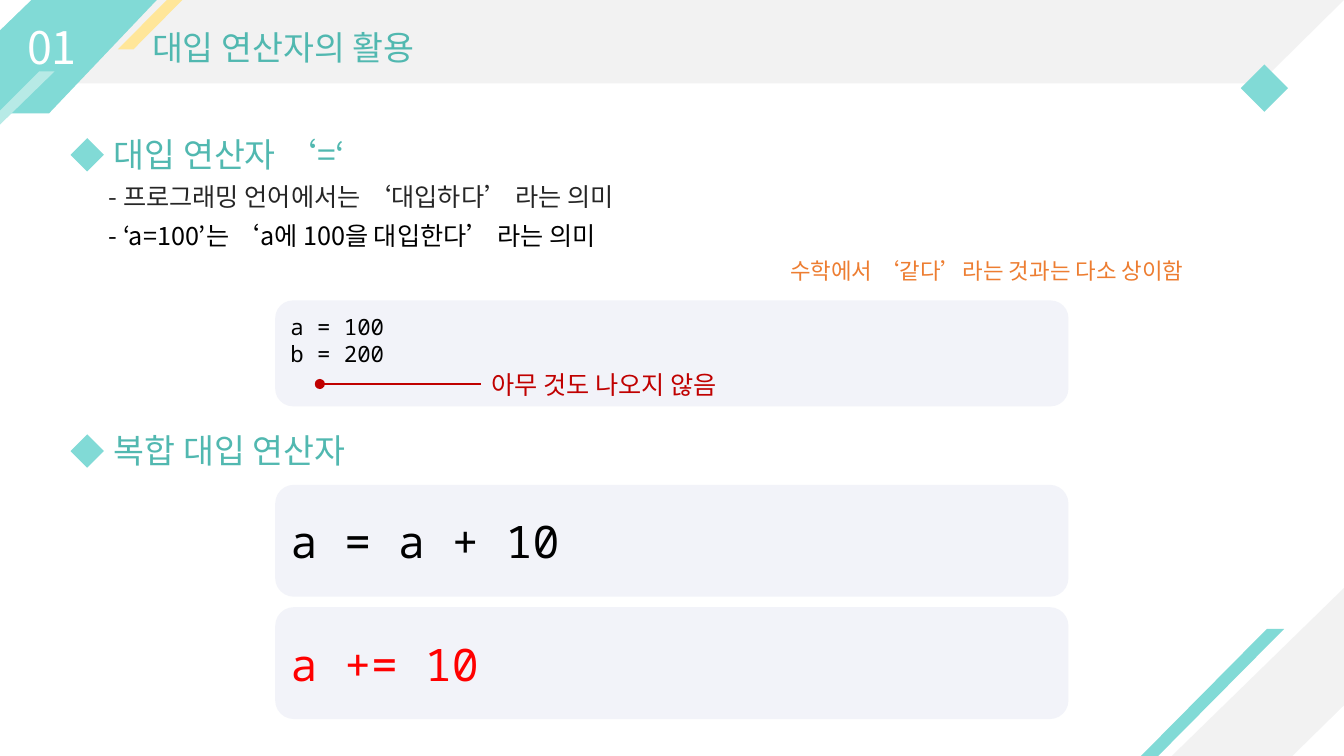
from pptx import Presentation
from pptx import util as u
from pptx.dml.color import RGBColor
from pptx.enum import shapes, text
from pptx.oxml import ns, xmlchemy

SANS, MONO = "Noto Sans CJK KR", "Noto Sans Mono"
TEAL = RGBColor(0x81, 0xDA, 0xD6)
PALE = RGBColor(0xB7, 0xEA, 0xE6)
DEEP = RGBColor(0x51, 0xB8, 0xB0)
GRAY = RGBColor(0xF2, 0xF2, 0xF2)
SAND = RGBColor(0xFF, 0xE6, 0x99)
LILAC = RGBColor(0xF2, 0xF3, 0xF9)
WHITE = RGBColor(255, 255, 255)
BLACK = RGBColor(0, 0, 0)
INK = RGBColor(0x26, 0x26, 0x26)
AMBER = RGBColor(0xED, 0x7D, 0x31)
WINE = RGBColor(0xC0, 0, 0)
RED = RGBColor(255, 0, 0)
KIND = shapes.MSO_SHAPE
ALIGN = text.PP_ALIGN


def paint(shape, color):
    """Give a shape a plain fill without line or shadow."""
    shape.shadow.inherit = False
    shape.fill.solid()
    shape.fill.fore_color.rgb = color
    shape.line.fill.background()


def form(slide, kind, box, color, flip=None, adj=None):
    """Draw a preset shape, mirrored or adjusted if asked."""
    shape = slide.shapes.add_shape(kind, *map(u.Pt, box))
    paint(shape, color)
    if flip:
        shape._element.spPr.xfrm.set(flip, "1")
    if adj:
        shape.adjustments[0] = adj
    return shape


def outline(slide, points, color):
    """Draw a closed outline through points."""
    pen = slide.shapes.build_freeform(*points[0], scale=u.Pt(1))
    pen.add_line_segments(points[1:], close=True)
    paint(pen.convert_to_shape(), color)


def write(frame, lines, size, color, font=SANS, align=ALIGN.LEFT):
    """Fill a text frame with lines in one style."""
    frame.word_wrap = True
    frame.text = "\n".join(lines)
    for para in frame.paragraphs:
        para.alignment = align
        para.font.size = u.Pt(size)
        para.font.name = font
        para.font.color.rgb = color
        east = xmlchemy.OxmlElement("a:ea")
        east.set("typeface", font)
        para._p.pPr.find(ns.qn("a:defRPr")).append(east)


def label(slide, box, line, size, color, align=ALIGN.LEFT):
    """Place a line of text in a box that grows."""
    area = slide.shapes.add_textbox(*map(u.Pt, box))
    write(area.text_frame, [line], size, color, align=align)
    area.text_frame.auto_size = text.MSO_AUTO_SIZE.SHAPE_TO_FIT_TEXT


def corner(slide, box):
    """Draw the slanted bands in the lower right corner."""
    x, y, w, h = box
    right, base = x + w, y + h
    form(slide, KIND.RIGHT_TRIANGLE, (right - 123, base - 120, 123, 120), GRAY, "flipH")
    form(slide, KIND.RIGHT_TRIANGLE, (right - 36.7, base - 36, 36.7, 36), WHITE, "flipH")
    form(slide, KIND.PARALLELOGRAM, (x, y, 102.2, h), TEAL, adj=0.991)


def header(slide, box, num, title):
    """Draw the title band with its number badge."""
    x, y, w, h = box
    tip = x + w - 60.2
    form(slide, KIND.PARALLELOGRAM, (x + 27.4, y, tip - x - 12.4, h), GRAY)
    form(slide, KIND.RIGHT_TRIANGLE, (tip, y, 60.2, h), GRAY, "flipV")
    form(slide, KIND.DIAMOND, (tip - 13.5, y + 46.1, 33.8, 33.8), TEAL)
    outline(slide, [(x, y), (x + 111.6, y), (x + 35.3, y + 81.4), (x, y + 81.4)], TEAL)
    form(slide, KIND.RIGHT_TRIANGLE, (x, y, 22.3, 21.6), WHITE, "flipV")
    form(slide, KIND.PARALLELOGRAM, (x + 84.2, y, 46.1, 35.3), SAND, adj=0.991)
    outline(slide, [(x, y + 79.2), (x + 28.1, y + 51.1), (x + 38.9, y + 51.1),
                    (x, y + 89.3)], PALE)
    label(slide, (x, y + 10.8, 74.2, 46), num, 32, WHITE, ALIGN.CENTER)
    label(slide, (x + 101.5, y + 15.8, 386, 36), title, 24, DEEP)


def topic(slide, box, title):
    """Place a diamond and a heading."""
    x, y, w, h = box
    form(slide, KIND.DIAMOND, (x, y + 6.5, 23.8, 23.8), TEAL)
    label(slide, (x + 23.8, y, w - 23.8, h), title, 24, DEEP)


def card(slide, box, lines, size, color, foot=3.6):
    """Place a rounded box of code."""
    frame = form(slide, KIND.ROUNDED_RECTANGLE, box, LILAC).text_frame
    frame.vertical_anchor = text.MSO_ANCHOR.MIDDLE
    frame.margin_bottom = u.Pt(foot)
    write(frame, lines, size, color, MONO)


def remark(slide, box, line):
    """Place a dotted leader and the remark at its end."""
    x, y, w, h = box
    mid, end = y + 14.4, x + 118.8
    rule = slide.shapes.add_connector(
        shapes.MSO_CONNECTOR.STRAIGHT, *map(u.Pt, (x + 3.6, mid, end, mid)))
    rule.line.color.rgb = WINE
    rule.line.width = u.Pt(1)
    rule._element.spPr.append(xmlchemy.OxmlElement("a:effectLst"))
    form(slide, KIND.OVAL, (x, mid - 3.6, 7.2, 7.2), WINE)
    label(slide, (end, y, w - 118.8, h), line, 18, WINE)


def main():
    """Build and save the slide."""
    deck = Presentation()
    deck.slide_width, deck.slide_height = u.Pt(960), u.Pt(540)
    slide = deck.slides.add_slide(deck.slide_layouts[6])
    corner(slide, (815, 449.3, 145, 90.7))
    header(slide, (0, 0, 960, 59.5), "01", "대입 연산자의 활용")
    topic(slide, (50.4, 92.2, 261.4, 36), "대입 연산자 ‘=‘")
    label(slide, (70.6, 126, 811, 29), "- 프로그래밍 언어에서는 ‘대입하다’ 라는 의미", 18, INK)
    label(slide, (70.6, 154, 480, 29), "- ‘a=100’는 ‘a에 100을 대입한다’ 라는 의미", 18, BLACK)
    label(slide, (90, 180, 762.5, 26.6), "수학에서 ‘같다’라는 것과는 다소 상이함",
          16, AMBER, ALIGN.RIGHT)
    card(slide, (196.6, 214.6, 566.6, 75.6), ["a = 100", "b = 200"], 16, BLACK, 22.6)
    remark(slide, (224.9, 259.9, 331.7, 29), "아무 것도 나오지 않음")
    topic(slide, (50.4, 303.8, 652.3, 36), "복합 대입 연산자")
    for i, (code, color) in enumerate([("a = a + 10", BLACK), ("a += 10", RED)]):
        card(slide, (196.6, 346.3 + 87.4 * i, 566.6, 79.9), [code], 32, color)
    deck.save("out.pptx")


if __name__ == "__main__":
    main()
